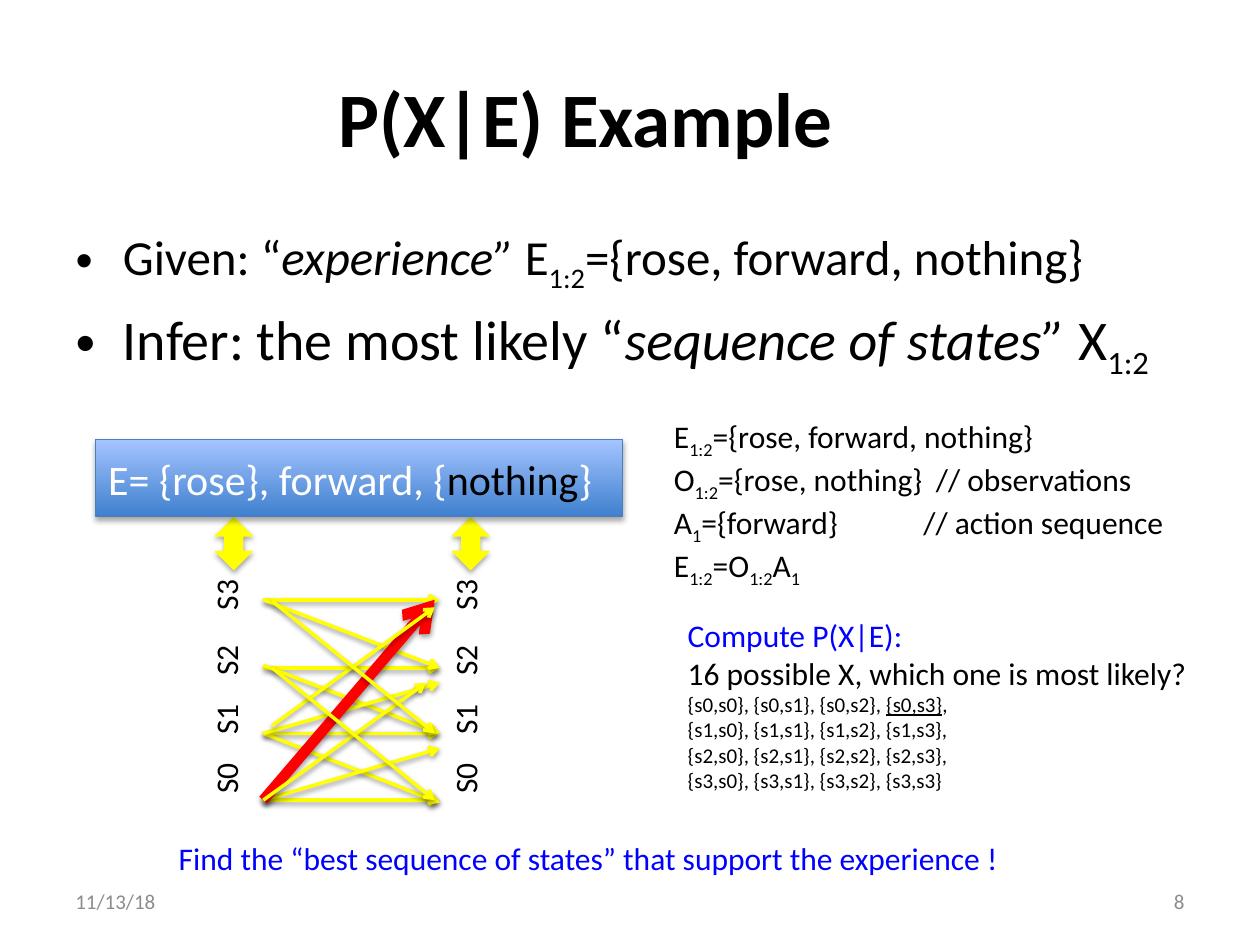
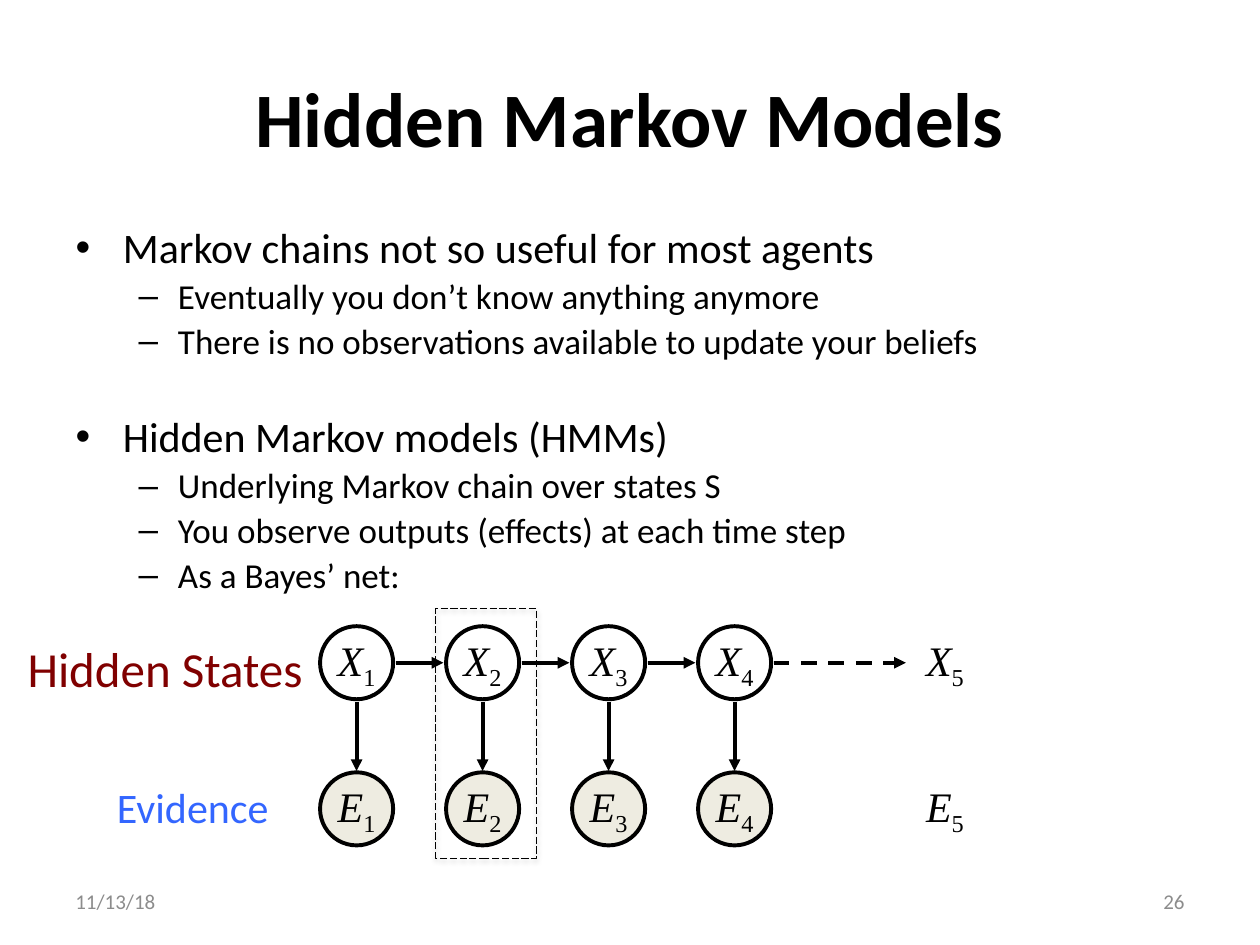
from dataclasses import dataclass
from typing import NamedTuple, Optional

from lxml.etree import SubElement
from pptx import Presentation
from pptx.dml.color import RGBColor
from pptx.enum.dml import MSO_LINE
from pptx.enum.shapes import MSO_CONNECTOR, MSO_SHAPE
from pptx.enum.text import MSO_ANCHOR, PP_ALIGN
from pptx.oxml.ns import qn
from pptx.util import Inches, Pt


@dataclass(frozen=True)
class Theme:
    sans: str = "Calibri"
    serif: str = "Times New Roman"
    black: str = "000000"
    white: str = "FFFFFF"
    gray: str = "8C8C8C"
    blue: str = "0000FF"
    sky: str = "3366FF"
    maroon: str = "800000"
    yellow: str = "FFFF00"
    red: str = "FF0000"
    sand: str = "EEECE1"
    dark: str = "3F80CE"
    light: str = "A4C4FF"
    edge: str = "4B7EBC"
    title: int = 44
    lead: int = 32
    large: int = 28
    mid: int = 24
    sub: int = 20
    text: int = 18
    small: int = 12


T = Theme()


class Bit(NamedTuple):
    """One run of text; an empty colour takes that of its row."""
    text: str
    low: bool = False
    slant: bool = False
    under: bool = False
    color: str = ""


class Row(NamedTuple):
    bits: list[Bit]
    size: int = T.text
    color: str = T.black
    tab: float = 0
    level: int = 0
    gap: Optional[float] = None


class Box(NamedTuple):
    x: float
    y: float
    w: float
    h: float


class Arrow(NamedTuple):
    x1: float
    y1: float
    x2: float
    y2: float
    color: str = T.yellow
    width: float = 2
    head: str = "arrow"
    dashed: bool = False


class Shade(NamedTuple):
    alpha: int
    blur: float
    drop: float


GLOW = Shade(35, 3.1, 1.8)
LANE = Shade(38, 3.1, 1.6)


def rgb(color: str) -> RGBColor:
    return RGBColor.from_string(color)


def dims(box: Box) -> list:
    return [Inches(n) for n in box]


def low(text: str) -> Bit:
    return Bit(text, low=True)


def plain(text: str, size: int = T.text, color: str = T.black, **more) -> Row:
    return Row([Bit(text)], size, color, **more)


def write(para, row: Row, face: str = T.sans, bold: bool = False) -> None:
    if row.tab:
        stops(para, [row.tab])
    para.level = row.level
    if row.gap is not None:
        para.space_before = Pt(row.gap)
    for bit in row.bits:
        run = para.add_run()
        run.text = bit.text
        font = run.font
        font.name, font.size, font.bold = face, Pt(row.size), bold
        font.italic, font.underline = bit.slant, bit.under
        font.color.rgb = rgb(bit.color or row.color)
        if bit.low:
            font._element.set("baseline", "-25000")


def stops(para, places: list[float]) -> None:
    tabs = SubElement(para._p.get_or_add_pPr(), qn("a:tabLst"))
    for place in places:
        SubElement(tabs, qn("a:tab"), pos=str(Inches(place)), algn="l")


def fill_rows(frame, rows: list[Row]) -> None:
    for i, row in enumerate(rows):
        para = frame.paragraphs[0] if i == 0 else frame.add_paragraph()
        write(para, row)


def label(slide, box: Box, rows: list[Row]):
    frame = slide.shapes.add_textbox(*dims(box)).text_frame
    frame.word_wrap = True
    fill_rows(frame, rows)
    return frame


def cast(spot, shade: Optional[Shade]) -> None:
    """Replace the inherited shadow by the given one, or by none."""
    props = spot._element.spPr
    effect = SubElement(props, qn("a:effectLst"))
    if shade:
        drop = SubElement(effect, qn("a:outerShdw"), blurRad=str(Pt(shade.blur)),
                          dist=str(Pt(shade.drop)), dir="5400000", rotWithShape="0")
        tint = SubElement(drop, qn("a:srgbClr"), val=T.black)
        SubElement(tint, qn("a:alpha"), val=str(shade.alpha * 1000))


def shape(slide, kind: MSO_SHAPE, box: Box, fill: str, edge: str,
          width: float, shade: Optional[Shade] = None):
    item = slide.shapes.add_shape(kind, *dims(box))
    if fill:
        item.fill.solid()
        item.fill.fore_color.rgb = rgb(fill)
    else:
        item.fill.background()
    item.line.color.rgb = rgb(edge)
    item.line.width = Pt(width)
    cast(item, shade)
    return item


def draw(shapes, arrow: Arrow, shade: Optional[Shade] = None) -> None:
    ends = [Inches(n) for n in arrow[:4]]
    link = shapes.add_connector(MSO_CONNECTOR.STRAIGHT, *ends)
    link.line.color.rgb = rgb(arrow.color)
    link.line.width = Pt(arrow.width)
    if arrow.dashed:
        link.line.dash_style = MSO_LINE.DASH
    SubElement(link._element.spPr.find(qn("a:ln")), qn("a:tailEnd"), type=arrow.head)
    cast(link, shade)


def place(holder, box: Box) -> None:
    holder.left, holder.top, holder.width, holder.height = dims(box)


def start(deck, title: str, page: str, rows: list[Row], wide: float = 9):
    """Add a slide with its title, list, date and page number."""
    slide = deck.slides.add_slide(deck.slide_layouts[1])
    head, body = slide.placeholders
    place(head, Box(0.5, 0.3, 9, 1.25))
    head.text_frame.vertical_anchor = MSO_ANCHOR.MIDDLE
    write(head.text_frame.paragraphs[0], plain(title, T.title), bold=True)
    place(body, Box(0.5, 1.75, wide, 4.95))
    fill_rows(body.text_frame, rows)
    for x, text, side in ((0.5, "11/13/18", PP_ALIGN.LEFT), (7.17, page, PP_ALIGN.RIGHT)):
        frame = label(slide, Box(x, 6.95, 2.33, 0.4), [plain(text, T.small, T.gray)])
        frame.vertical_anchor = MSO_ANCHOR.MIDDLE
        frame.paragraphs[0].alignment = side
    return slide


def states(slide, x: float) -> None:
    """Write the four states upwards along one column."""
    frame = label(slide, Box(x, 4.5, 0.5, 1.9), [])
    frame._txBody.bodyPr.set("vert", "vert270")
    frame.margin_top = 0
    para = frame.paragraphs[0]
    stops(para, [0.47, 0.94, 1.46])
    write(para, plain("S0\tS1\tS2\tS3"))


def lattice(slide) -> None:
    s3, s2, s1, s0 = 4.76, 5.3, 5.82, 6.35
    left, right = 2.09, 3.49
    near, far = 2.16, 3.45
    arrows = [Arrow(left, y, right, y) for y in (s2, s1, s0, s3)]
    arrows += [Arrow(left, a, right, b) for a, b in
               ((s3, s2), (5.28, s1), (s1, 6.37), (s0, 5.94), (s1, 5.42))]
    arrows += [
        Arrow(left, s0, far, s3, T.red, 6),
        Arrow(left, s0, 3.38, 5.42),
        Arrow(near, 5.76, far, 4.82),
        Arrow(near, s2, far, s0),
        Arrow(near, 4.77, far, s1),
    ]
    group = slide.shapes.add_group_shape()
    for arrow in arrows:
        draw(group.shapes, arrow, LANE)


def example(deck) -> None:
    slide = start(deck, "P(X|E) Example", "8", [
        Row([Bit("Given: “"), Bit("experience” ", slant=True), Bit("E"), low("1:2"),
             Bit("={rose, forward, nothing}")], T.large, gap=0),
        Row([Bit("Infer: the most likely “"), Bit("sequence of states”", slant=True),
             Bit(" X"), low("1:2")], T.lead),
    ], wide=9.2)
    slide.shapes.title.text_frame.margin_right = Inches(0.8)

    for x in (1.59, 3.49):
        states(slide, x)
    lattice(slide)
    for x in (1.71, 3.59):
        shape(slide, MSO_SHAPE.UP_DOWN_ARROW, Box(x, 4.11, 0.29, 0.41),
              T.yellow, T.yellow, 0.75, GLOW)
    label(slide, Box(1.32, 6.61, 6.82, 0.4), [plain(
        "Find the “best sequence of states” that support the experience !", color=T.blue)])

    banner = shape(slide, MSO_SHAPE.RECTANGLE, Box(0.76, 3.49, 4.18, 0.61),
                   T.dark, T.edge, 0.75, GLOW)
    banner.fill.gradient()
    banner.fill.gradient_angle = 90
    for i, (stop, color) in enumerate(zip(banner.fill.gradient_stops, (T.dark, T.light))):
        stop.position = i
        stop.color.rgb = rgb(color)
    para = banner.text_frame.paragraphs[0]
    para.alignment = PP_ALIGN.LEFT
    write(para, Row([Bit("E= {rose}, forward, {"), Bit("nothing", color=T.black),
                     Bit("}")], T.mid, T.white))

    pairs = [plain(" ".join(f"{{s{a},s{b}}}," for b in range(4)), T.small)
             for a in range(1, 3)]
    label(slide, Box(5.36, 4.84, 4.21, 1.51), [
        plain("Compute P(X|E):", color=T.blue),
        plain("16 possible X, which one is most likely?"),
        Row([Bit("{s0,s0}, {s0,s1}, {s0,s2}, "), Bit("{s0,s3}", under=True),
             Bit(",")], T.small),
        *pairs,
        plain("{s3,s0}, {s3,s1}, {s3,s2}, {s3,s3}", T.small),
    ])
    label(slide, Box(5.25, 3.26, 4.15, 1.31), [
        Row([Bit("E"), low("1:2"), Bit("={rose, forward, nothing}")]),
        Row([Bit("O"), low("1:2"), Bit("={rose, nothing}\t// observations")], tab=2.08),
        Row([Bit("A"), low("1"), Bit("={forward}\t// action sequence")], tab=1.98),
        Row([Bit("E"), low("1:2"), Bit("=O"), low("1:2"), Bit("A"), low("1")]),
    ])


def node(slide, name: str, step: int, x: float, y: float, fill: str, edge: str) -> None:
    item = shape(slide, MSO_SHAPE.OVAL, Box(x, y, 0.58, 0.58), fill, edge, 2.25)
    frame = item.text_frame
    frame.word_wrap = False
    frame.vertical_anchor = MSO_ANCHOR.MIDDLE
    para = frame.paragraphs[0]
    para.alignment = PP_ALIGN.CENTER
    write(para, Row([Bit(name, slant=True), low(str(step))], T.mid), T.serif)


def markov(deck) -> None:
    slide = start(deck, "Hidden Markov Models", "26", [
        plain("Markov chains not so useful for most agents", T.mid, gap=0),
        plain("Eventually you don’t know anything anymore", T.sub, level=1),
        plain("There is no observations available to update your beliefs", T.sub, level=1),
        plain("Hidden Markov models (HMMs)", T.mid, gap=31),
        plain("Underlying Markov chain over states S", T.sub, level=1),
        plain("You observe outputs (effects) at each time step", T.sub, level=1),
        plain("As a Bayes’ net:", T.sub, level=1),
    ])
    for para in slide.placeholders[1].text_frame.paragraphs:
        para.line_spacing = 0.9

    top, base, mid = 4.97, 6.13, 5.26
    for step in range(1, 6):
        last = step == 5
        x = 7.21 if last else 1.54 + step
        edge = T.white if last else T.black
        node(slide, "X", step, x, top, T.white, edge)
        node(slide, "E", step, x, base, T.white if last else T.sand, edge)
        if not last:
            end = 7.19 if step == 4 else x + 0.98
            for arrow in (Arrow(x + 0.29, 5.57, x + 0.29, 6.12, T.black, 2.25, "triangle"),
                          Arrow(x + 0.6, mid, end, mid, T.black, 2.25, "triangle", step == 4)):
                draw(slide.shapes, arrow)

    label(slide, Box(0.12, 5.02, 2.42, 0.57), [plain("Hidden States", T.large, T.maroon)])
    label(slide, Box(0.83, 6.15, 1.43, 0.5), [plain("Evidence", T.mid, T.sky)])
    frame = shape(slide, MSO_SHAPE.RECTANGLE, Box(3.46, 4.83, 0.8, 1.98),
                  "", T.black, 0.5, GLOW)
    frame.line.dash_style = MSO_LINE.LONG_DASH


def main() -> None:
    deck = Presentation()
    deck.slide_width, deck.slide_height = Inches(10), Inches(7.5)
    example(deck)
    markov(deck)
    deck.save("out.pptx")


if __name__ == "__main__":
    main()
